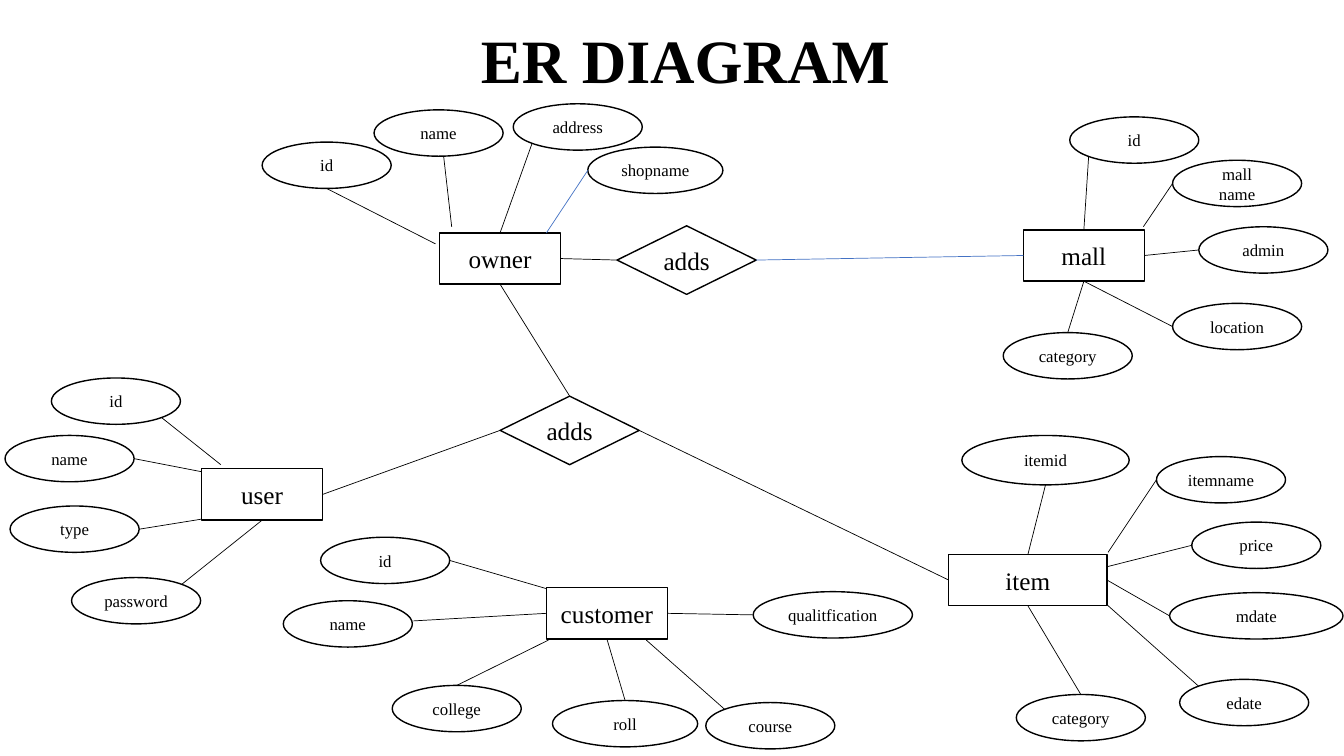
from dataclasses import dataclass
from math import cos, radians, sin

from lxml import etree
from pptx import Presentation
from pptx.dml.color import RGBColor
from pptx.enum.shapes import MSO_CONNECTOR, MSO_SHAPE
from pptx.enum.text import MSO_ANCHOR, PP_ALIGN
from pptx.oxml.ns import qn
from pptx.util import Inches, Pt

BLACK = RGBColor(0x00, 0x00, 0x00)
BLUE = RGBColor(0x44, 0x72, 0xC4)
FONT = "Times New Roman"

ELLIPSE = MSO_SHAPE.OVAL
RECTANGLE = MSO_SHAPE.RECTANGLE
DIAMOND = MSO_SHAPE.FLOWCHART_DECISION
STRAIGHT = MSO_CONNECTOR.STRAIGHT
CENTER = PP_ALIGN.CENTER
MIDDLE = MSO_ANCHOR.MIDDLE

# Sides of a rectangle or diamond
TOP, LEFT, BOTTOM, RIGHT = range(4)

# Where a line leaves an ellipse, in degrees clockwise from the right
E, SE, S, SW, W, NW, N, NE = range(0, 360, 45)


@dataclass
class Attribute:
    label: str
    left: float
    top: float
    start: object  # an angle on the ellipse or a point
    end: object  # a side of the entity or a point
    width: float = 1.28
    height: float = 0.46
    color: RGBColor = BLACK

    def start_point(self):
        if isinstance(self.start, tuple):
            return self.start
        angle = radians(self.start)
        return (self.left + self.width / 2 * (1 + cos(angle)),
                self.top + self.height / 2 * (1 + sin(angle)))


# Entities: name, left, top, width, attributes
ENTITIES = [
    ("user", 2, 4.65, 1.2, [
        Attribute("id", 0.51, 3.75, SE, (2.19, 4.61)),
        Attribute("name", 0.05, 4.32, E, (2, 4.68)),
        Attribute("type", 0.1, 5.02, E, (2, 5.15)),
        Attribute("password", 0.71, 5.73, NE, BOTTOM),
    ]),
    ("owner", 4.36, 2.31, 1.2, [
        Attribute("id", 2.6, 1.41, S, (4.32, 2.42)),
        Attribute("name", 3.71, 1.09, (4.4, 1.55), (4.48, 2.25)),
        Attribute("address", 5.09, 1.03, SW, TOP),
        Attribute("shopname", 5.83, 1.46, W, (5.42, 2.31), width=1.34, color=BLUE),
    ]),
    ("mall", 10.15, 2.28, 1.2, [
        Attribute("id", 10.61, 1.16, SW, TOP),
        Attribute("mall\nname", 11.63, 1.59, W, (11.34, 2.25)),
        Attribute("admin", 11.89, 2.25, W, RIGHT),
        Attribute("location", 11.63, 3.01, W, BOTTOM),
        Attribute("category", 9.95, 3.3, N, BOTTOM),
    ]),
    ("item", 9.41, 5.5, 1.57, [
        Attribute("itemid", 9.54, 4.32, S, TOP, width=1.66, height=0.49),
        Attribute("itemname", 11.47, 4.53, W, (10.99, 5.48)),
        Attribute("price", 11.82, 5.18, W, (10.99, 5.62)),
        Attribute("mdate", 11.6, 5.88, W, RIGHT, width=1.72),
        Attribute("edate", 11.7, 6.74, NW, (10.98, 6)),
        Attribute("category", 10.08, 6.89, N, BOTTOM),
    ]),
    ("customer", 5.42, 5.83, 1.2, [
        Attribute("id", 3.18, 5.33, E, (5.42, 5.84)),
        Attribute("name", 2.81, 5.96, (4.1, 6.16), LEFT),
        Attribute("college", 3.89, 6.8, N, (5.44, 6.35)),
        Attribute("roll", 5.48, 6.95, N, BOTTOM, width=1.44),
        Attribute("course", 7, 6.97, NW, (6.41, 6.35)),
        Attribute("qualitfication", 7.47, 5.87, W, RIGHT, width=1.58),
    ]),
]

# Relations: left, top, links as (entity, entity side, diamond side, color)
RELATIONS = [
    (6.12, 2.24, [("owner", RIGHT, LEFT, BLACK), ("mall", LEFT, RIGHT, BLUE)]),
    (4.96, 3.93, [("owner", BOTTOM, TOP, BLACK), ("item", LEFT, RIGHT, BLACK),
                  ("user", RIGHT, LEFT, BLACK)]),
]


def write_text(frame, text, size, bold=False, color=BLACK):
    frame.word_wrap = False
    frame.vertical_anchor = MIDDLE
    for index, line in enumerate(text.split("\n")):
        para = frame.add_paragraph() if index else frame.paragraphs[0]
        para.alignment = CENTER
        span = para.add_run()
        span.text = line
        span.font.name = FONT
        span.font.size = Pt(size)
        span.font.bold = bold
        span.font.color.rgb = color


class Diagram:
    def __init__(self, page):
        self.page = page

    def title(self, text, left, top, width, height):
        box = self.page.shapes.add_textbox(
            Inches(left), Inches(top), Inches(width), Inches(height))
        write_text(box.text_frame, text, 44, bold=True)

    def node(self, kind, text, left, top, width, height, size=18):
        shape = self.page.shapes.add_shape(
            kind, Inches(left), Inches(top), Inches(width), Inches(height))
        shape.shadow.inherit = False
        shape.fill.background()
        shape.line.color.rgb = BLACK
        shape.line.width = Pt(1)
        write_text(shape.text_frame, text, size)
        return shape

    def line(self, start=(0, 0), end=(0, 0), color=BLACK):
        link = self.page.shapes.add_connector(
            STRAIGHT, *(Inches(value) for value in (*start, *end)))
        link.line.color.rgb = color
        link.line.width = Pt(0.5)
        etree.SubElement(link._element.spPr, qn("a:effectLst"))
        return link

    def attribute(self, item, entity):
        self.node(ELLIPSE, item.label, item.left, item.top,
                  item.width, item.height, size=12)
        if isinstance(item.end, tuple):
            self.line(item.start_point(), item.end, item.color)
        else:
            self.line(item.start_point(), color=item.color).end_connect(entity, item.end)

    def relation(self, text, left, top, links, entities):
        diamond = self.node(DIAMOND, text, left, top, 1.38, 0.68)
        for name, entity_side, diamond_side, color in links:
            link = self.line(color=color)
            link.begin_connect(entities[name], entity_side)
            link.end_connect(diamond, diamond_side)


def main():
    deck = Presentation()
    deck.slide_width = Inches(13.33)
    deck.slide_height = Inches(7.5)
    diagram = Diagram(deck.slides.add_slide(deck.slide_layouts[6]))

    diagram.title("ER DIAGRAM", 0.27, 0, 13.06, 1.17)

    # Entities with their attributes
    entities = {}
    for name, left, top, width, attributes in ENTITIES:
        entities[name] = diagram.node(RECTANGLE, name, left, top, width, 0.51)
        for item in attributes:
            diagram.attribute(item, entities[name])

    # Relations between entities
    for left, top, links in RELATIONS:
        diagram.relation("adds", left, top, links, entities)

    deck.save("out.pptx")


if __name__ == "__main__":
    main()
